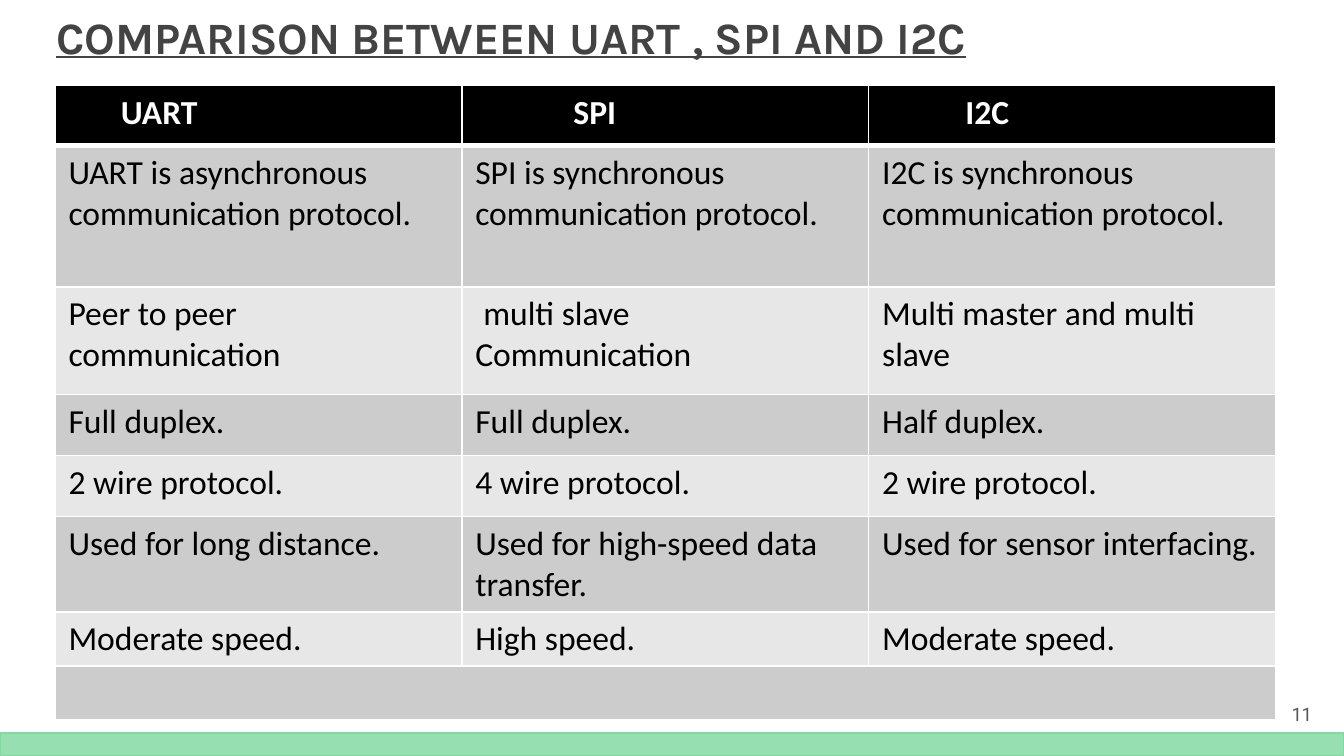
from dataclasses import dataclass

from lxml.etree import SubElement
from pptx import Presentation
from pptx.dml.color import RGBColor
from pptx.enum.shapes import MSO_SHAPE as Shape
from pptx.oxml.ns import qn
from pptx.util import Inches, Pt


@dataclass(frozen=True)
class Theme:
    title_color: str = "434343"
    number_color: str = "595959"
    accent: str = "83DAA1"
    white: str = "FFFFFF"
    black: str = "000000"
    bands: tuple = ("CCCCCC", "E7E7E7")
    title_font: str = "Karla"
    table_font: str = "Calibri"
    number_font: str = "Roboto"
    title_size: int = 24
    table_size: int = 18
    number_size: int = 10


COLUMNS, ROWS = 100, 56.25  # grid of 0.1 inch squares
HEADERS = [("UART", 3.9), ("SPI", 7.3), ("I2C", 6.2)]  # text, indent
COMPARISON = [
    ("UART is asynchronous communication protocol.",
     "SPI is synchronous communication protocol.",
     "I2C is synchronous communication protocol."),
    ("Peer to peer communication", "multi slave\nCommunication",
     "Multi master and multi slave"),
    ("Full duplex.", "Full duplex.", "Half duplex."),
    ("2 wire protocol.", "4 wire protocol.", "2 wire protocol."),
    ("Used for long distance.", "Used for high-speed data transfer.",
     "Used for sensor interfacing."),
    ("Moderate speed.", "High speed.", "Moderate speed."),
    ("", "", ""),
]
ROW_HEIGHTS = [4.5, 10.5, 8, 4.55, 4.55, 7.1, 3.95, 3.95]
COLUMN_WIDTH = 30.27


def grid(*squares):
    return [Inches(count / 10) for count in squares]


def write(frame, text, font, size, color, bold=False, underline=False,
          indent=0, before=0, spacing=0):
    """Fill a text frame; the indent applies to its first paragraph."""
    for index, line in enumerate(text.split("\n")):
        paragraph = frame.paragraphs[0] if index == 0 else frame.add_paragraph()
        if before:
            paragraph.space_before = Pt(before)
        if indent and index == 0:
            paragraph._p.get_or_add_pPr().set("marL", str(grid(indent)[0]))
        run = paragraph.add_run()
        run.text = line
        run.font.name, run.font.size = font, Pt(size)
        run.font.bold, run.font.underline = bold, underline
        run.font.color.rgb = RGBColor.from_string(color)
        if spacing:
            run.font._element.set("spc", str(int(spacing * 100)))


class SlideBuilder:
    def __init__(self, slide, theme):
        self.slide, self.theme = slide, theme

    def text(self, text, area, top_inset=0, **style):
        frame = self.slide.shapes.add_textbox(*grid(*area)).text_frame
        frame.word_wrap = True
        frame.margin_left = frame.margin_right = frame.margin_bottom = 0
        frame.margin_top = Inches(top_inset)
        write(frame, text, **style)

    def strip(self, area, opacity):
        shape = self.slide.shapes.add_shape(Shape.RECTANGLE, *grid(*area))
        shape.shadow.inherit = False
        color = RGBColor.from_string(self.theme.accent)
        shape.fill.solid()
        shape.fill.fore_color.rgb = color
        shape.line.color.rgb, shape.line.width = color, Pt(0.75)
        fill_color = shape._element.spPr.find(qn("a:solidFill"))[0]
        SubElement(fill_color, qn("a:alpha"), val=str(opacity * 1000))

    def cell(self, cell, fill, top=1, bottom=1):
        """Draw the borders and the fill of one table cell."""
        properties = cell._tc.get_or_add_tcPr()
        for side, width in zip("LRTB", (1, 1, top, bottom)):
            line = SubElement(properties, qn(f"a:ln{side}"), w=str(Pt(width)))
            solid = SubElement(line, qn("a:solidFill"))
            SubElement(solid, qn("a:srgbClr"), val=self.theme.white)
        cell.fill.solid()
        cell.fill.fore_color.rgb = RGBColor.from_string(fill)

    def table(self, left, top, headers, body, column_width, heights):
        theme = self.theme
        style = dict(font=theme.table_font, size=theme.table_size)
        area = grid(left, top, column_width * len(headers), sum(heights))
        table = self.slide.shapes.add_table(
            len(heights), len(headers), *area).table
        table.horz_banding = False
        for column in table.columns:
            column.width = grid(column_width)[0]
        for row, height in zip(table.rows, heights):
            row.height = grid(height)[0]

        # Header row
        for index, (text, indent) in enumerate(headers):
            cell = table.cell(0, index)
            self.cell(cell, theme.black, bottom=3)
            write(cell.text_frame, text, color=theme.white, bold=True,
                  indent=indent, **style)

        # Banded body rows
        for number, texts in enumerate(body, start=1):
            for index, text in enumerate(texts):
                cell = table.cell(number, index)
                self.cell(cell, theme.bands[(number - 1) % 2],
                          top=3 if number == 1 else 1)
                if text:
                    write(cell.text_frame, text, color=theme.black,
                          indent=0.6 if "\n" in text else 0, **style)

        # Closing row across all columns
        last = len(heights) - 1
        table.cell(last, 0).merge(table.cell(last, len(headers) - 1))


def main():
    theme = Theme()
    presentation = Presentation()
    presentation.slide_width, presentation.slide_height = grid(COLUMNS, ROWS)
    slide = presentation.slides.add_slide(presentation.slide_layouts[6])
    builder = SlideBuilder(slide, theme)

    # Footer strip
    builder.strip((0, ROWS - 1.7, COLUMNS, 1.7), opacity=84)

    # Title and page number
    builder.text("COMPARISON BETWEEN UART , SPI AND I2C", (4.1, 0.6, 85.4, 4.2),
                 top_inset=0.01, font=theme.title_font, size=theme.title_size,
                 color=theme.title_color, bold=True, underline=True,
                 indent=0.1, before=1)
    builder.text("11", (96, 52.3, 2.2, 1.8), font=theme.number_font,
                 size=theme.number_size, color=theme.number_color,
                 indent=0.1, before=0.1, spacing=-0.2)

    # Comparison table
    builder.table(4.1, 6.35, HEADERS, COMPARISON, COLUMN_WIDTH, ROW_HEIGHTS)

    presentation.save("out.pptx")


if __name__ == "__main__":
    main()
